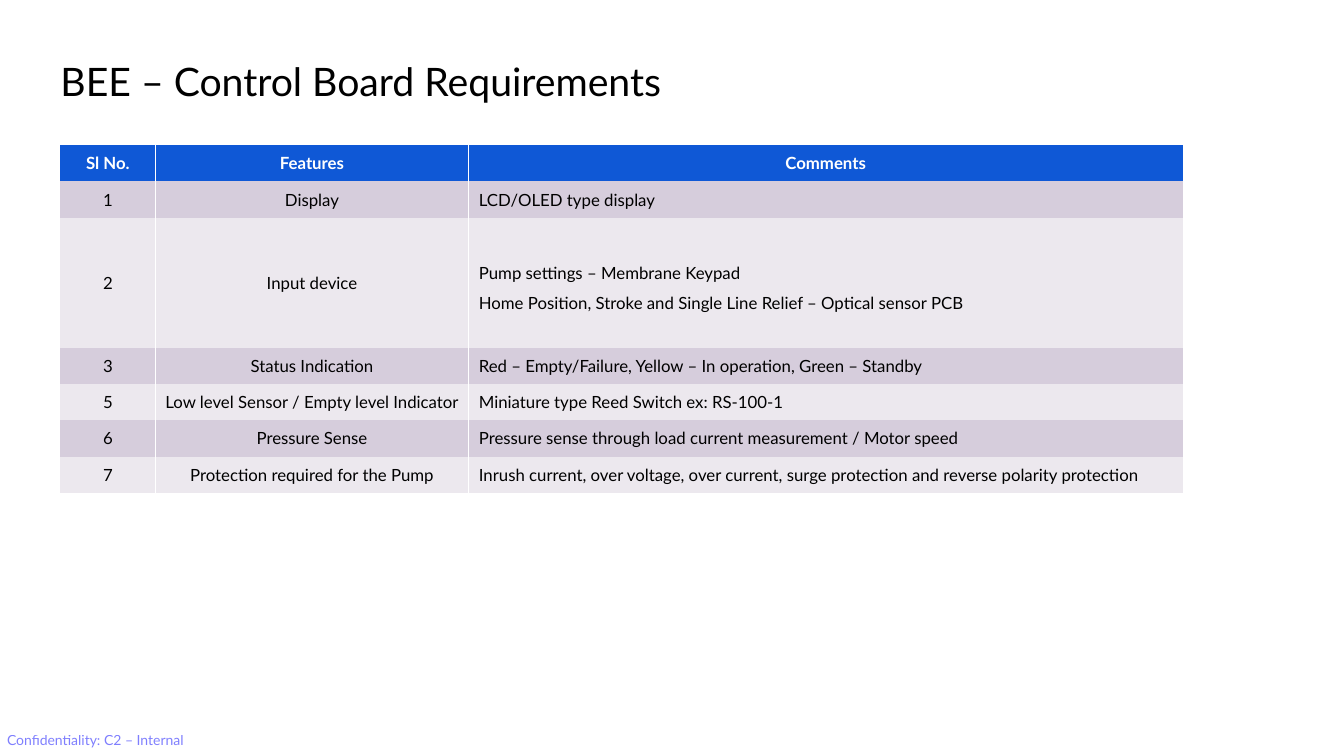
from lxml import etree
from pptx import Presentation
from pptx.dml.color import RGBColor
from pptx.enum import text
from pptx.oxml import ns
from pptx.util import Inches, Pt

FONT = "Lato"
BLACK = RGBColor(0x00, 0x00, 0x00)
WHITE = RGBColor(0xFF, 0xFF, 0xFF)
HEADER_BLUE = RGBColor(0x0F, 0x58, 0xD6)
BAND_DARK = RGBColor(0xD6, 0xCD, 0xDC)
BAND_LIGHT = RGBColor(0xEC, 0xE8, 0xEE)
LABEL_BLUE = RGBColor(0x00, 0x00, 0xFE)
NO_GRID_STYLE = "{2D5ABB26-0587-4C30-8999-92F81FD0307C}"

COLUMN_WIDTHS = [0.94, 3.11, 7.08]
ROW_HEIGHT = 0.36
INPUT_ROW, INPUT_ROW_HEIGHT = 2, 1.29
REQUIREMENTS = [
    ("Sl No.", "Features", "Comments"),
    ("1", "Display", "LCD/OLED type display"),
    ("2", "Input device",
     "Pump settings – Membrane Keypad\n"
     "Home Position, Stroke and Single Line Relief – Optical sensor PCB"),
    ("3", "Status Indication",
     "Red – Empty/Failure, Yellow – In operation, Green – Standby"),
    ("5", "Low level Sensor / Empty level Indicator ",
     "Miniature type Reed Switch ex: RS-100-1"),
    ("6", "Pressure Sense",
     "Pressure sense through load current measurement / Motor speed"),
    ("7", "Protection required for the Pump",
     "Inrush current, over voltage, over current, surge protection "
     "and reverse polarity protection"),
]


def style_font(para, size, color, bold=False):
    para.font.name = FONT
    para.font.size = Pt(size)
    para.font.bold = bold
    para.font.color.rgb = color


def add_text(page, words, left, top, width, height, size, color, wrap=True):
    """Add a one-paragraph text box without margins."""
    box = page.shapes.add_textbox(Inches(left), Inches(top),
                                  Inches(width), Inches(height))
    frame = box.text_frame
    frame.word_wrap = wrap
    frame.margin_left = frame.margin_right = 0
    frame.margin_top = frame.margin_bottom = 0
    para = frame.paragraphs[0]
    para.text = words
    style_font(para, size, color)
    return para


def set_opacity(para, percent):
    color = para.font.fill._xPr.find(".//" + ns.qn("a:srgbClr"))
    etree.SubElement(color, ns.qn("a:alpha"), val=str(percent * 1000))


def add_divider(cell, side, position):
    """Draw a thin white line on the left (lnL) or right (lnR) cell edge."""
    line = etree.Element(ns.qn("a:" + side), w=str(Pt(0.5)))
    fill = etree.SubElement(line, ns.qn("a:solidFill"))
    etree.SubElement(fill, ns.qn("a:srgbClr"), val=str(WHITE))
    cell._tc.get_or_add_tcPr().insert(position, line)


def fill_cell(cell, words, row, column):
    is_header = row == 0
    cell.text = words
    cell.vertical_anchor = text.MSO_ANCHOR.MIDDLE
    cell.fill.solid()
    band = BAND_DARK if row % 2 else BAND_LIGHT
    cell.fill.fore_color.rgb = HEADER_BLUE if is_header else band
    for para in cell.text_frame.paragraphs:
        style_font(para, 12, WHITE if is_header else BLACK, is_header)
        centred = is_header or column < 2
        para.alignment = text.PP_ALIGN.CENTER if centred else text.PP_ALIGN.LEFT
        if row == INPUT_ROW and column == 2:
            para.line_spacing = 1.5
    if column < 2:
        add_divider(cell, "lnR", 0)
    if column > 0:
        add_divider(cell, "lnL", 0)


def add_requirements(page, left, top):
    heights = [INPUT_ROW_HEIGHT if row == INPUT_ROW else ROW_HEIGHT
               for row in range(len(REQUIREMENTS))]
    frame = page.shapes.add_table(
        len(heights), len(COLUMN_WIDTHS), Inches(left), Inches(top),
        Inches(sum(COLUMN_WIDTHS)), Inches(sum(heights)))
    table = frame.table
    table.horz_banding = False
    table._tbl.tblPr.find(ns.qn("a:tableStyleId")).text = NO_GRID_STYLE
    for column, width in zip(table.columns, COLUMN_WIDTHS):
        column.width = Inches(width)
    for row, height in zip(table.rows, heights):
        row.height = Inches(height)
    for row, entries in enumerate(REQUIREMENTS):
        for column, words in enumerate(entries):
            fill_cell(table.cell(row, column), words, row, column)


def main():
    deck = Presentation()
    deck.slide_width, deck.slide_height = Inches(13.33), Inches(7.5)
    page = deck.slides.add_slide(deck.slide_layouts[6])

    # Confidentiality label
    label = add_text(page, "Confidentiality: C2 – Internal",
                     0.07, 7.26, 1.9, 0.17, 10, LABEL_BLUE, wrap=False)
    set_opacity(label, 50)

    # Title
    title = add_text(page, "BEE – Control Board Requirements",
                     0.6, 0.59, 7.44, 0.85, 28, BLACK)
    title.line_spacing = Pt(32)

    # Requirements table
    add_requirements(page, 0.6, 1.44)

    deck.save("out.pptx")


if __name__ == "__main__":
    main()
